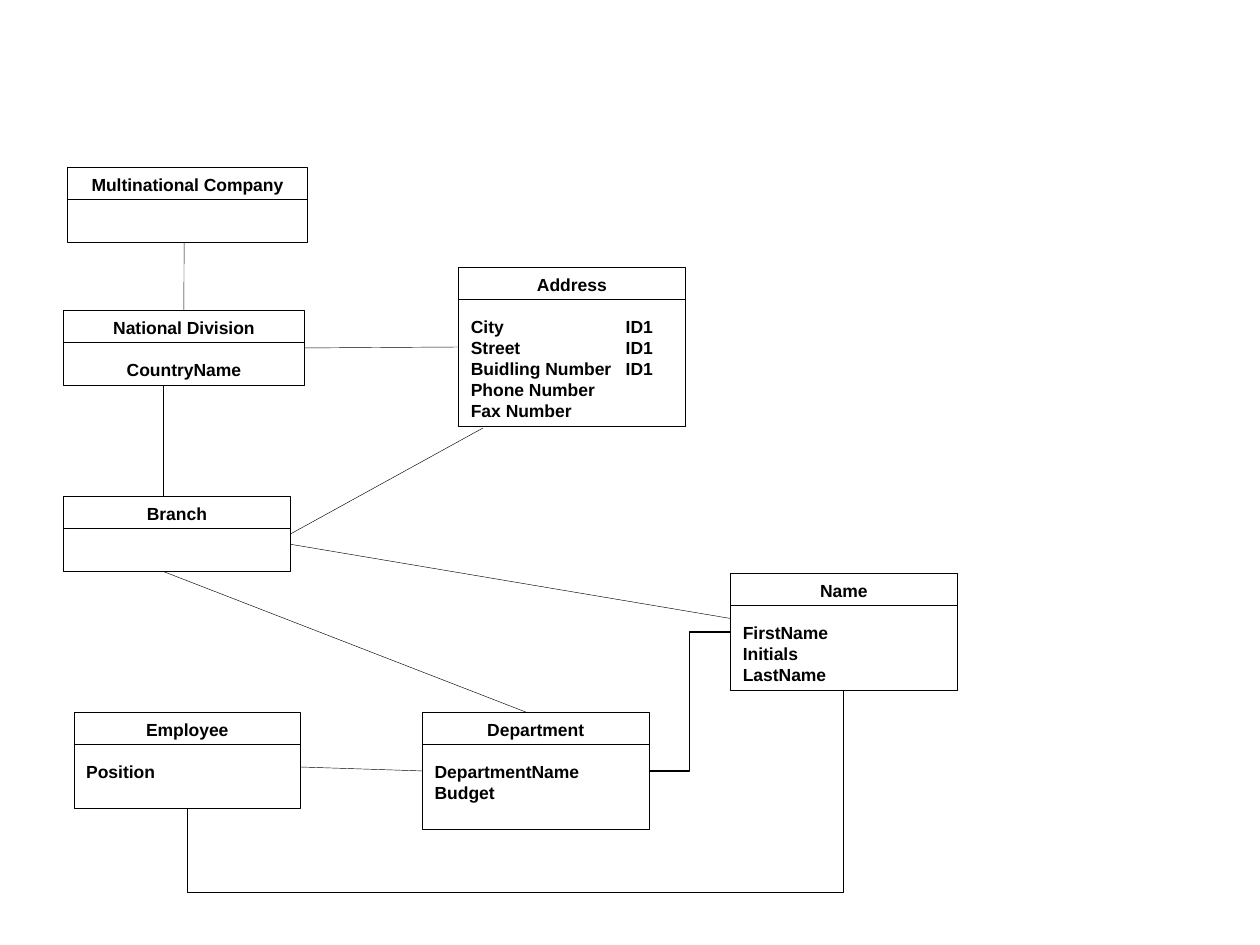
from lxml import etree
from pptx import Presentation
from pptx.dml.color import RGBColor
from pptx.enum.shapes import MSO_CONNECTOR, MSO_SHAPE
from pptx.enum.text import MSO_ANCHOR, PP_ALIGN
from pptx.oxml.ns import qn
from pptx.util import Pt

BLACK = RGBColor(0x00, 0x00, 0x00)
HEADER_H = 18.3
TAB_POS = 88.5
TOP, LEFT, BOTTOM, RIGHT = range(4)

prs = Presentation()
prs.slide_width, prs.slide_height = Pt(720), Pt(540)
s = prs.slides.add_slide(prs.slide_layouts[6])


def add_text(tf, text, align=PP_ALIGN.LEFT, before=0, first=False):
    p = tf.paragraphs[0] if first else tf.add_paragraph()
    p.alignment = align
    p.space_before = Pt(before)
    r = p.add_run()
    r.text = text
    r.font.name, r.font.size, r.font.bold = "Arial", Pt(10), True
    r.font.color.rgb = BLACK
    if "\t" in text:
        tabs = etree.SubElement(p._p.get_or_add_pPr(), qn("a:tabLst"))
        etree.SubElement(tabs, qn("a:tab"), pos=str(Pt(TAB_POS)), algn="l")


def add_line(x1, y1, x2, y2, kind=MSO_CONNECTOR.STRAIGHT, width=0.25):
    c = s.shapes.add_connector(kind, Pt(x1), Pt(y1), Pt(x2), Pt(y2))
    c.line.color.rgb = BLACK
    c.line.width = Pt(width)
    etree.SubElement(c._element.spPr, qn("a:effectLst"))
    return c


# Entity boxes: name, left, top, width, height, body alignment, attributes
entities = [
    ("Address", 262, 152.8, 129.6, 91, PP_ALIGN.LEFT,
     ["City\tID1", "Street\tID1", "Buidling Number\tID1", "Phone Number", "Fax Number"]),
    ("Name", 417.4, 327.7, 129.6, 66.9, PP_ALIGN.LEFT,
     ["FirstName", "Initials", "LastName"]),
    ("Department", 241.3, 407.1, 129.6, 66.9, PP_ALIGN.LEFT,
     ["DepartmentName", "Budget"]),
    ("Employee", 42.2, 407.1, 129.6, 54.9, PP_ALIGN.LEFT, ["Position"]),
    ("Branch", 36.3, 283.7, 129.6, 42.9, PP_ALIGN.LEFT, []),
    ("National Division", 36.3, 177.4, 137.6, 42.9, PP_ALIGN.CENTER, ["CountryName"]),
    ("Multinational Company", 38.5, 95.7, 137.2, 42.9, PP_ALIGN.LEFT, []),
]
boxes = {}
for name, x, y, w, h, align, attributes in entities:
    sp = s.shapes.add_shape(MSO_SHAPE.RECTANGLE, Pt(x), Pt(y), Pt(w), Pt(h))
    sp.shadow.inherit = False
    sp.fill.background()
    sp.line.color.rgb = BLACK
    sp.line.width = Pt(0.25)
    tf = sp.text_frame
    tf.word_wrap = True
    tf.vertical_anchor = MSO_ANCHOR.TOP
    add_text(tf, name, align=PP_ALIGN.CENTER, first=True)
    for i, attribute in enumerate(attributes):
        add_text(tf, attribute, align=align, before=0 if i else 12)
    add_line(x, y + HEADER_H, x + w, y + HEADER_H)
    boxes[name] = sp

# Straight relations
c = add_line(241.3, 440.5, 172, 438.3)
c.begin_connect(boxes["Department"], LEFT)
c = add_line(105.1, 177.4, 105.2, 138.6)
c.begin_connect(boxes["National Division"], TOP)
c = add_line(262, 198.5, 173.9, 198.5)
c.begin_connect(boxes["Address"], LEFT)
c.end_connect(boxes["National Division"], RIGHT)
for ends in [
    (276, 244.6, 165.9, 305.2),    # Address - Branch
    (417.4, 353.4, 165.9, 311),    # Name - Branch
    (301, 407.1, 93.4, 326.6),     # Department - Branch
    (93.4, 283.7, 93.4, 220.3),    # Branch - National Division
]:
    add_line(*ends)

# Elbow from Department to Name
c = add_line(371, 440.6, 417.4, 361, kind=MSO_CONNECTOR.ELBOW, width=0.75)
c.begin_connect(boxes["Department"], RIGHT)
c.end_connect(boxes["Name"], LEFT)

# Elbow below the boxes from Name to Employee, turned by 90 degrees
c = add_line(260.9, 240.7, 328.3, 615.9, kind=MSO_CONNECTOR.ELBOW, width=0.75)
c._element.spPr.find(qn("a:xfrm")).set("rot", "5400000")
adjust = c._element.spPr.find(qn("a:prstGeom")).get_or_add_avLst()
etree.SubElement(adjust, qn("a:gd"), name="adj1", fmla="val 171100")

prs.save("out.pptx")
